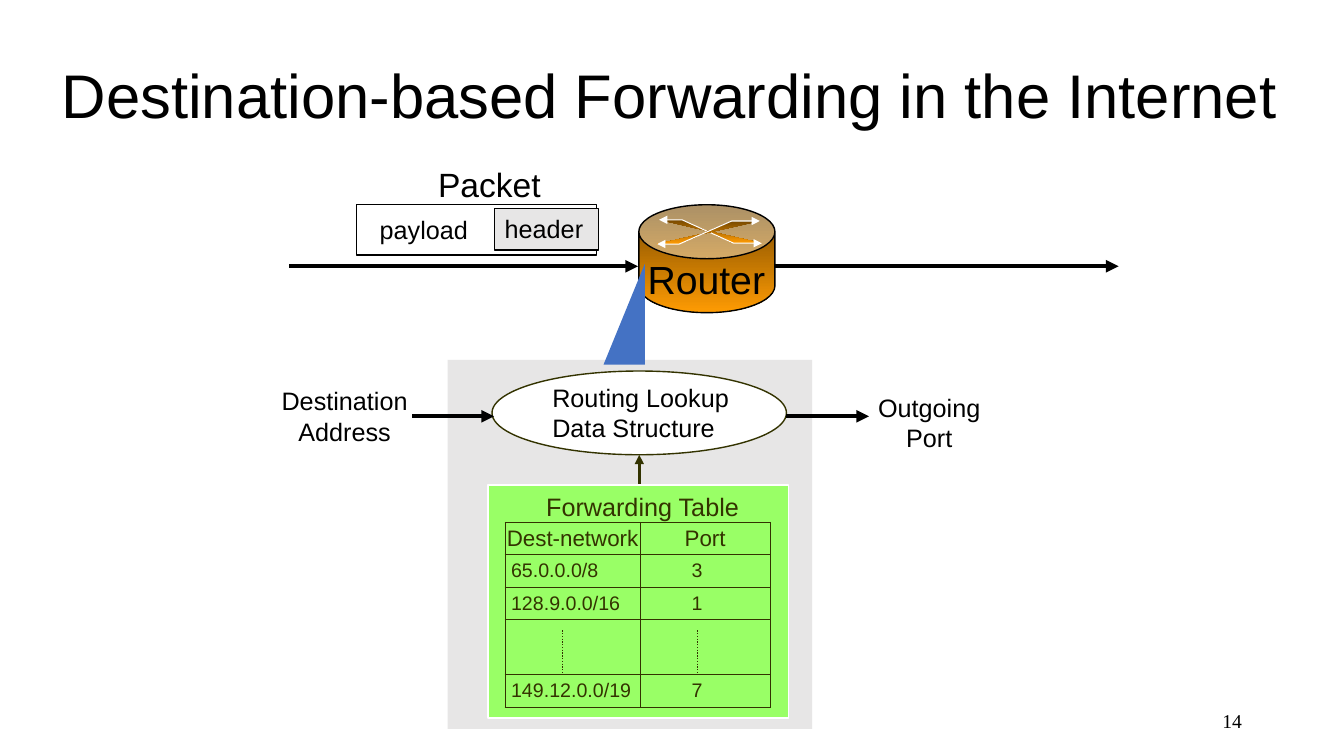
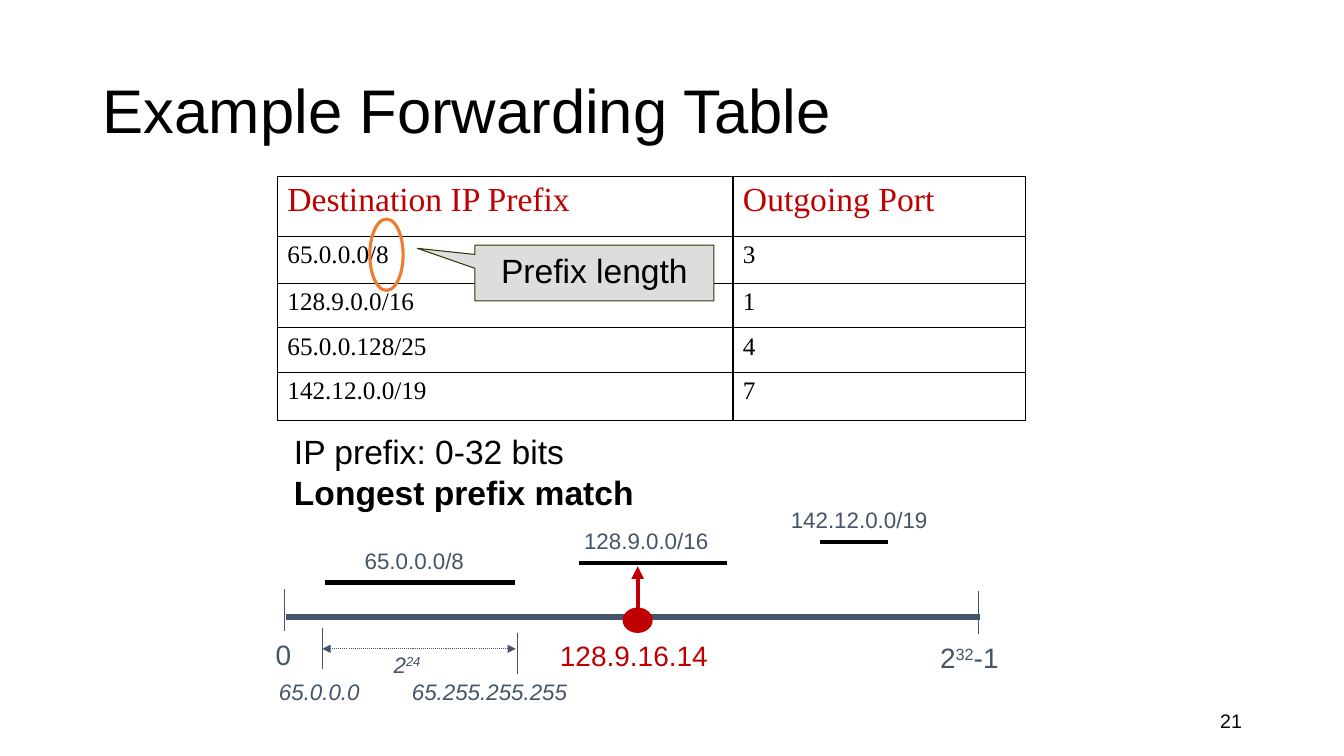
from dataclasses import dataclass
from typing import Any

from pptx import Presentation, util as u
from pptx.dml import color
from pptx.enum import dml, shapes, text
from pptx.oxml import ns, xmlchemy

BLACK, WHITE, GREY, SILVER = "000000", "FFFFFF", "E7E6E6", "DDDDDD"
OLIVE, GREEN, SLATE, RED = "333300", "99FF66", "44546A", "C00000"
BLUE, ORANGE, METAL = "4472C4", "ED7D31", ("764801", "FE9B03")
SANS, SERIF = "Arial", "Times New Roman"
SHAPE, ALIGN, ANCHOR = shapes.MSO_SHAPE, text.PP_ALIGN, text.MSO_ANCHOR


@dataclass
class Area:
    """A region of a page, with its top left corner in centimetres."""
    page: Any
    left: float
    top: float

    def spot(self, x, y):
        """Turn a point of the region into slide lengths."""
        return u.Cm(self.left + x), u.Cm(self.top + y)

    def frame(self, x, y, width, height):
        """Turn a box of the region into slide lengths."""
        return *self.spot(x, y), u.Cm(width), u.Cm(height)


def rgb(value):
    """Return the colour for a hex string."""
    return color.RGBColor.from_string(value)


def write(frame, paras, size, tint=BLACK, font=SANS, align=ALIGN.LEFT,
          anchor=ANCHOR.TOP):
    """Fill a text frame with paragraphs of (words, style) spans."""
    frame.vertical_anchor = anchor
    for index, spans in enumerate(paras):
        para = frame.paragraphs[0] if index == 0 else frame.add_paragraph()
        para.alignment = align
        for words, style in spans:
            span = para.add_run()
            span.text = words
            span.font.size, span.font.name = u.Pt(size), font
            span.font.color.rgb = rgb(tint)
            span.font.bold, span.font.italic = "b" in style, "i" in style
            if "^" in style:
                span.font._element.set("baseline", "30000")


def label(area, box, words, size, wrap=False, **look):
    """Add a text box; words are a string or a list of paragraphs."""
    frame = area.page.shapes.add_textbox(*area.frame(*box)).text_frame
    frame.word_wrap = wrap
    paras = [[(words, "")]] if isinstance(words, str) else words
    write(frame, paras, size, **look)


def paint(shape, fill=None, line=None, weight=1):
    """Set the fill and the outline of a shape."""
    shape.shadow.inherit = False
    if fill is None:
        shape.fill.background()
    elif isinstance(fill, tuple):
        shape.fill.gradient()
        shape.fill.gradient_angle = 270
        for stop, tint in zip(shape.fill.gradient_stops, fill):
            stop.color.rgb = rgb(tint)
    else:
        shape.fill.solid()
        shape.fill.fore_color.rgb = rgb(fill)
    if line is None:
        shape.line.fill.background()
    else:
        shape.line.color.rgb, shape.line.width = rgb(line), u.Pt(weight)


def block(area, kind, box, fill=None, line=None, weight=1):
    """Add a painted preset shape."""
    shape = area.page.shapes.add_shape(kind, *area.frame(*box))
    paint(shape, fill, line, weight)
    return shape


def add_heads(shape, ends):
    """Put triangle arrowheads on the named ends of a line."""
    outline = shape._element.spPr.find(ns.qn("a:ln"))
    for end in ends:
        head = xmlchemy.OxmlElement(f"a:{end}")
        head.set("type", "triangle")
        outline.append(head)


def rule(area, start, end, tint=BLACK, weight=3.0, ends=(), dotted=False):
    """Add a straight line between two points of the region."""
    line = area.page.shapes.add_connector(
        shapes.MSO_CONNECTOR.STRAIGHT, *area.spot(*start), *area.spot(*end))
    line.line.color.rgb, line.line.width = rgb(tint), u.Pt(weight)
    if dotted:
        line.line.dash_style = dml.MSO_LINE.ROUND_DOT
    add_heads(line, ends)
    line._element.spPr.append(xmlchemy.OxmlElement("a:effectLst"))


def arrow(area, start, end, **look):
    """Add a line with an arrowhead at its end."""
    rule(area, start, end, ends=["tailEnd"], **look)


def set_borders(cell, tint, weight):
    """Draw all four borders of a table cell."""
    for side in "LRTB":
        edge = xmlchemy.OxmlElement(f"a:ln{side}")
        edge.set("w", str(u.Pt(weight)))
        fill = xmlchemy.OxmlElement("a:solidFill")
        tone = xmlchemy.OxmlElement("a:srgbClr")
        tone.set("val", tint)
        fill.append(tone)
        edge.append(fill)
        cell._tc.get_or_add_tcPr().append(edge)


def grid(area, x, y, widths, heights, tint, weight, fill=None):
    """Add a plain bordered table and return it."""
    box = area.frame(x, y, sum(widths), sum(heights))
    table = area.page.shapes.add_table(len(heights), len(widths), *box).table
    table.first_row = table.horz_banding = False
    for column, width in zip(table.columns, widths):
        column.width = u.Cm(width)
    for row, height in zip(table.rows, heights):
        row.height = u.Cm(height)
    for cell in table.iter_cells():
        set_borders(cell, tint, weight)
        if fill:
            cell.fill.solid()
            cell.fill.fore_color.rgb = rgb(fill)
        else:
            cell.fill.background()
    return table


def add_page(deck, title, box, number, number_font):
    """Add a page with its title and its page number."""
    page = deck.slides.add_slide(deck.slide_layouts[5])
    whole = Area(page, 0, 0)
    holder = page.shapes.title
    holder.left, holder.top, holder.width, holder.height = whole.frame(*box)
    holder.text_frame.auto_size = text.MSO_AUTO_SIZE.NONE
    write(holder.text_frame, [[(title, "")]], 44, anchor=ANCHOR.MIDDLE)
    holder.text_frame.paragraphs[0].line_spacing = 0.9
    label(whole, (23.93, 17.65, 7.62, 1.02), number, 14, wrap=True,
          font=number_font, align=ALIGN.RIGHT, anchor=ANCHOR.MIDDLE)
    return page


def add_packet_path(area):
    """Draw the packet and the links into and out of the router."""
    arrow(area, (12.12, 2.7), (20.9, 2.7))
    arrow(area, (0, 2.7), (8.79, 2.7))
    block(area, SHAPE.RECTANGLE, (1.7, 1.15, 6.05, 1.27), WHITE, BLACK)
    header = block(area, SHAPE.RECTANGLE, (5.18, 1.25, 2.62, 1.04), GREY, BLACK)
    write(header.text_frame, [[("header", "")]], 18)
    label(area, (2.03, 1.27, 3.02, 1.02), "payload", 18)
    label(area, (3.5, 0, 3.15, 1.27), "Packet", 24)


def add_router(area):
    """Draw the router with its two crossing arrows."""
    can = block(area, SHAPE.CAN, (0, 0, 3.43, 2.72), METAL, BLACK)
    can.adjustments[0] = 0.508
    for points in ([(0.51, 0.38), (1.09, 0.38), (2.39, 0.97), (3.1, 0.97)],
                   [(0.46, 0.99), (1.02, 0.99), (2.34, 0.41), (3.05, 0.41)]):
        spots = [area.spot(*point) for point in points]
        builder = area.page.shapes.build_freeform(*spots[0])
        builder.add_line_segments(spots[1:], close=False)
        crossing = builder.convert_to_shape()
        paint(crossing, METAL, WHITE, 0.75)
        add_heads(crossing, ["headEnd", "tailEnd"])
    label(area, (-0.03, 1.14, 3.5, 1.45), "Router", 28)


def add_lookup(area):
    """Draw the lookup panel with its input and its output."""
    middle = {"align": ALIGN.CENTER, "anchor": ANCHOR.MIDDLE, "wrap": True}
    block(area, SHAPE.RECTANGLE, (0, 0, 9.19, 9.3), GREY)
    block(area, SHAPE.OVAL, (1.12, 0.28, 7.42, 2.11), WHITE, OLIVE)
    label(area, (2.39, 0.43, 5.16, 1.78), "Routing Lookup Data Structure", 18,
          wrap=True)
    label(area, (-4.55, 0.51, 3.91, 1.8), "Destination Address", 18, **middle)
    label(area, (10.44, 0.69, 3.4, 1.78), "Outgoing Port", 18, **middle)
    arrow(area, (-0.89, 1.42), (1.17, 1.42))
    arrow(area, (8.53, 1.42), (10.62, 1.42))
    arrow(area, (4.83, 3.15), (4.83, 2.39), tint=OLIVE, weight=2.25)
    pointer = block(area, SHAPE.ISOSCELES_TRIANGLE, (3.93, -2.42, 1.04, 2.54), BLUE)
    pointer.adjustments[0] = 1


def add_small_table(area):
    """Draw the green forwarding table of the router."""
    rows = [("Dest-network", "Port"), ("65.0.0.0/8", "3"), ("128.9.0.0/16", "1"),
            ("", ""), ("149.12.0.0/19", "7")]
    block(area, SHAPE.RECTANGLE, (0, 0, 7.57, 5.87), GREEN, WHITE)
    label(area, (1.19, 0.03, 5.41, 1.02), "Forwarding Table", 18, tint=OLIVE,
          align=ALIGN.CENTER, anchor=ANCHOR.MIDDLE)
    heights = [0.82, 0.82, 0.82, 1.38, 0.82]
    table = grid(area, 0.43, 0.94, [3.4, 3.28], heights, OLIVE, 0.75)
    for r, row in enumerate(rows):
        for c, words in enumerate(row):
            cell = table.cell(r, c)
            cell.margin_top = cell.margin_bottom = cell.margin_right = 0
            cell.margin_left = u.Cm((0.15, 1.3)[c] if r else 0)
            cell.vertical_anchor = ANCHOR.MIDDLE
            if words:
                write(cell.text_frame, [[(words, "")]], 14 if r else 16, OLIVE,
                      align=ALIGN.LEFT if r else ALIGN.CENTER,
                      anchor=ANCHOR.MIDDLE)
    for x in (1.88, 5.28):
        rule(area, (x, 3.66), (x, 4.72), OLIVE, 1, dotted=True)


def add_prefix_table(area):
    """Draw the table of prefixes and the callout on prefix length."""
    rows = [("Destination IP Prefix", "Outgoing Port"), ("65.0.0.0/8", "3"),
            ("128.9.0.0/16", "1"), ("65.0.0.128/25", "4"), ("142.12.0.0/19", "7")]
    heights = [1.5, 1.19, 1.12, 1.12, 1.22]
    table = grid(area, 0, 0, [11.48, 7.37], heights, BLACK, 1, WHITE)
    for r, row in enumerate(rows):
        size, tint = (18, BLACK) if r else (24, RED)
        for c, words in enumerate(row):
            write(table.cell(r, c).text_frame, [[(words, "")]], size, tint, SERIF)
    block(area, SHAPE.OVAL, (2.33, 1.07, 0.84, 1.8), None, ORANGE, 2.25)
    callout = block(area, SHAPE.RECTANGULAR_CALLOUT, (4.98, 1.73, 6.02, 1.4),
                    SILVER, OLIVE, 0.75)
    callout.adjustments[0], callout.adjustments[1] = -0.741, -0.443
    write(callout.text_frame, [[("Prefix length", "")]], 24, align=ALIGN.CENTER)


def add_number_line(area):
    """Draw the address range with its prefixes and one address."""
    rule(area, (0, 0), (17.48, 0), SLATE, 4.5)
    for x, top, bottom in [(-0.03, -0.69, 0.36), (17.45, -0.64, 0.43),
                           (0.91, 0.28, 1.32), (5.84, 0.41, 1.45)]:
        rule(area, (x, top), (x, bottom), SLATE, 0.75)
    rule(area, (0.91, 0.81), (5.79, 0.81), SLATE, 0.75,
         ["headEnd", "tailEnd"], dotted=True)
    for start, end, y, x, width, prefix in [
            (0.99, 5.77, -0.86, 1.73, 3.05, "65.0.0.0/8"),
            (7.39, 11.1, -1.35, 7.26, 3.68, "128.9.0.0/16"),
            (13.46, 15.16, -1.88, 12.47, 4.09, "142.12.0.0/19")]:
        rule(area, (start, y), (end, y))
        label(area, (x, y - 1.03, width, 0.94), prefix, 16, tint=SLATE)
    for box, spans, size in [
            ((-0.51, 0.41, 0.94, 1.09), [("0", "")], 20),
            ((16.23, 0.48, 2.16, 1.12), [("2", ""), ("32", "^"), ("-1", "")], 20),
            ((2.46, 0.74, 1.55, 0.94), [("2", "i"), ("24", "i^")], 16),
            ((-0.43, 1.42, 2.67, 0.94), [("65.0.0.0", "i")], 16),
            ((2.92, 1.42, 4.47, 0.94), [("65.255.255.255", "i")], 16)]:
        label(area, box, [spans], size, tint=SLATE)
    arrow(area, (8.86, 0.25), (8.86, -1.27), tint=RED)
    label(area, (6.65, 0.43, 4.27, 1.12), "128.9.16.14", 20, tint=RED)
    block(area, SHAPE.OVAL, (8.48, -0.23, 0.76, 0.64), RED)


def main():
    """Build the deck and save it."""
    deck = Presentation()
    deck.slide_width, deck.slide_height = u.Cm(33.87), u.Cm(19.05)

    page = add_page(deck, "Destination-based Forwarding in the Internet",
                    (1.3, 0.89, 31.62, 3.18), "14", SERIF)
    add_packet_path(Area(page, 7.29, 4.01))
    add_router(Area(page, 16.1, 5.16))
    add_lookup(Area(page, 11.28, 9.07))
    add_small_table(Area(page, 12.3, 12.22))

    page = add_page(deck, "Example Forwarding Table",
                    (2.34, 1.02, 29.21, 3.68), "21", SANS)
    add_prefix_table(Area(page, 6.99, 4.45))
    label(Area(page, 7.16, 10.74), (0, 0, 9.14, 2.31),
          [[("IP prefix: 0-32 bits", "")], [("Longest prefix match", "b")]], 24)
    add_number_line(Area(page, 7.21, 15.54))
    deck.save("out.pptx")


if __name__ == "__main__":
    main()
